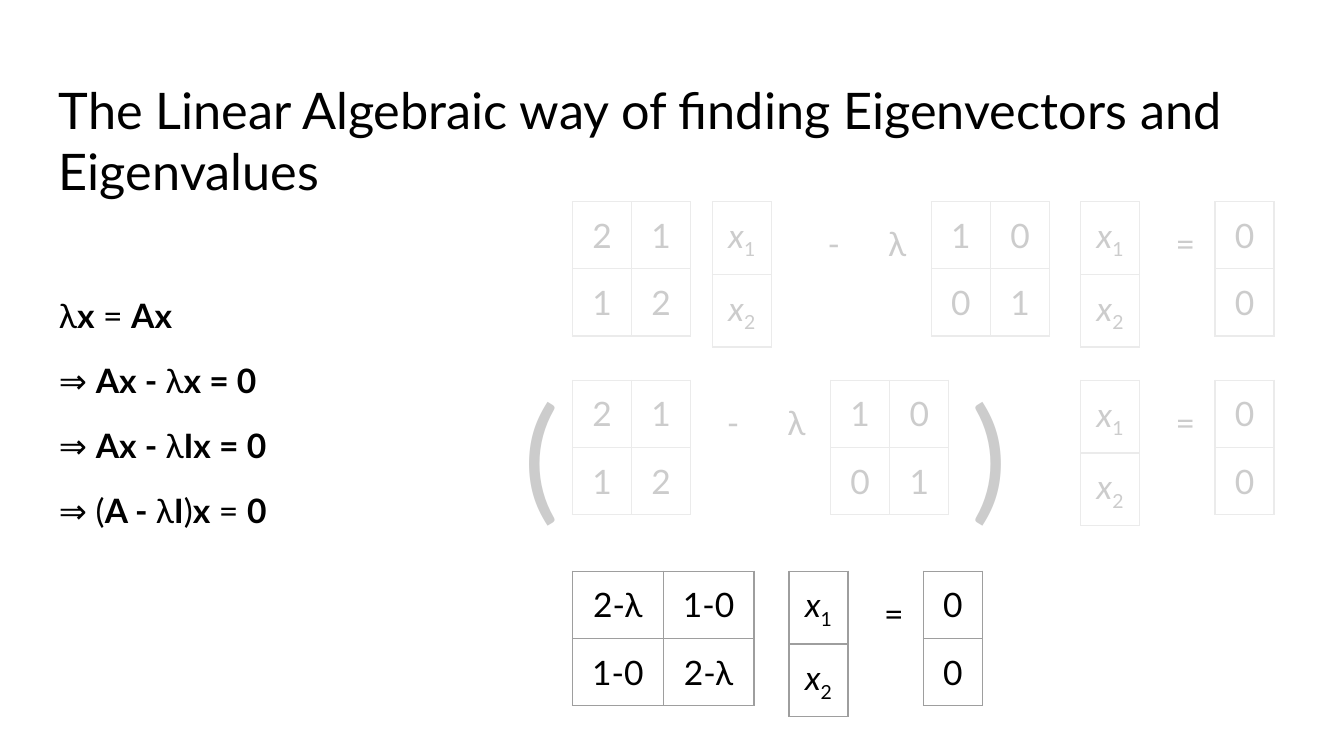
"""Build a slide deriving eigenvectors and eigenvalues with linear algebra."""
from typing import NamedTuple

from lxml import etree
from pptx import Presentation, util as u
from pptx.dml.color import RGBColor
from pptx.enum import shapes, text
from pptx.oxml import ns

COLORS = {"ink": "000000", "border": "9E9E9E", "veil": "FFFFFF"}
FONT = "Lato"
BODY_SIZE = 18
UNIT = u.Inches(0.1)
SLIDE_COLS, SLIDE_ROWS = 100, 56.25
INSET = 1
CELL_COLS, CELL_ROWS = 4.4, 5


class Run(NamedTuple):
    words: str
    bold: bool = False
    italic: bool = False
    subscript: bool = False


class Matrix(NamedTuple):
    col: float
    entries: list
    cell_cols: float = CELL_COLS


class Operator(NamedTuple):
    col: float
    symbol: str
    cols: float = 3.6


class Equation(NamedTuple):
    row: float
    terms: list


def grid(count: float) -> int:
    """Convert a count of grid units to a length."""
    return round(count * UNIT)


def plain(words: str) -> list[Run]:
    """Wrap words as a single unstyled run."""
    return [Run(words)]


def unknown(index: str) -> list[Run]:
    """Return an italic x with a subscript."""
    return [Run("x", italic=True), Run(index, subscript=True)]


def write(paragraph, runs: list[Run], size: float = BODY_SIZE) -> None:
    """Append runs to a paragraph."""
    for part in runs:
        run = paragraph.add_run()
        run.text = part.words
        run.font.name = FONT
        run.font.size = u.Pt(size)
        run.font.bold = part.bold
        run.font.italic = part.italic
        run.font.color.rgb = RGBColor.from_string(COLORS["ink"])
        if part.subscript:
            run.font._element.set("baseline", "-25000")


def add_words(slide, col: float, row: float, cols: float, rows: float,
              lines: list[list[Run]], size: float = BODY_SIZE,
              spacing: float = 1.15) -> None:
    """Place lines of runs in a wrapped text box."""
    frame = slide.shapes.add_textbox(*map(grid, (col, row, cols, rows))).text_frame
    frame.word_wrap = True
    frame.margin_left = frame.margin_right = grid(INSET)
    frame.margin_top = frame.margin_bottom = grid(INSET)
    for index, runs in enumerate(lines):
        paragraph = frame.add_paragraph() if index else frame.paragraphs[0]
        paragraph.line_spacing = spacing
        paragraph.space_before = u.Pt(10 if index else 0)
        write(paragraph, runs, size)


def add_borders(cell) -> None:
    """Outline all four sides of a cell."""
    properties = cell._tc.get_or_add_tcPr()
    for index, side in enumerate(("lnL", "lnR", "lnT", "lnB")):
        line = etree.Element(ns.qn(f"a:{side}"), w=str(u.Pt(0.75)))
        fill = etree.SubElement(line, ns.qn("a:solidFill"))
        etree.SubElement(fill, ns.qn("a:srgbClr"), val=COLORS["border"])
        properties.insert(index, line)


def add_matrix(slide, matrix: Matrix, row: float) -> None:
    """Draw a matrix as a bordered table."""
    height, width = len(matrix.entries), len(matrix.entries[0])
    table = slide.shapes.add_table(
        height, width, grid(matrix.col), grid(row),
        grid(width * matrix.cell_cols), grid(height * CELL_ROWS)).table
    table.first_row = table.horz_banding = False
    for column in table.columns:
        column.width = grid(matrix.cell_cols)
    for r, entries in enumerate(matrix.entries):
        table.rows[r].height = grid(CELL_ROWS)
        for c, runs in enumerate(entries):
            cell = table.cell(r, c)
            cell.fill.background()
            cell.margin_left = cell.margin_right = grid(INSET)
            cell.margin_top = cell.margin_bottom = grid(INSET)
            cell.vertical_anchor = text.MSO_ANCHOR.MIDDLE
            paragraph = cell.text_frame.paragraphs[0]
            paragraph.alignment = text.PP_ALIGN.CENTER
            write(paragraph, runs)
            add_borders(cell)


def add_equation(slide, equation: Equation) -> None:
    """Draw the terms of one equation along a row."""
    for term in equation.terms:
        if isinstance(term, Matrix):
            add_matrix(slide, term, equation.row)
        else:
            add_words(slide, term.col, equation.row + 0.15, term.cols,
                      CELL_ROWS, [plain(term.symbol)])


def add_veil(slide, col: float, row: float, cols: float, rows: float) -> None:
    """Fade the earlier steps behind a translucent panel."""
    veil = slide.shapes.add_shape(shapes.MSO_SHAPE.RECTANGLE,
                                  *map(grid, (col, row, cols, rows)))
    veil.shadow.inherit = False
    veil.line.fill.background()
    veil.fill.solid()
    veil.fill.fore_color.rgb = RGBColor.from_string(COLORS["veil"])
    color = veil._element.spPr.find(".//" + ns.qn("a:srgbClr"))
    etree.SubElement(color, ns.qn("a:alpha"), val="80000")


def square(rows: tuple[str, str]) -> list:
    """Split space-separated rows into matrix entries."""
    return [[plain(entry) for entry in row.split()] for row in rows]


A = square(("2 1", "1 2"))
IDENTITY = square(("1 0", "0 1"))
SHIFTED = square(("2-λ 1-0", "1-0 2-λ"))
ZERO = square(("0", "0"))
X = [[unknown("1")], [unknown("2")]]
LEFT = 42.6
RIGHT_SIDE = [Matrix(80.4, X), Operator(86.5, "="), Matrix(90.4, ZERO)]

EQUATIONS = [
    Equation(15, [Matrix(LEFT, A), Matrix(53, X), Operator(60.6, "-"),
                  Operator(65.1, "λ", 2.7), Matrix(69.3, IDENTITY), *RIGHT_SIDE]),
    Equation(28.3, [Matrix(LEFT, A), Operator(53.1, "-"), Operator(57.6, "λ", 2.7),
                    Matrix(61.8, IDENTITY), *RIGHT_SIDE]),
    Equation(42.5, [Matrix(LEFT, SHIFTED, 6.75), Matrix(58.7, X),
                    Operator(64.8, "="), Matrix(68.7, ZERO)]),
]
DERIVATION = [
    [Run("λ"), Run("x", True), Run(" = "), Run("Ax", True)],
    [Run("⇒ "), Run("Ax - ", True), Run("λ"), Run("x = 0", True)],
    [Run("⇒ "), Run("Ax - ", True), Run("λ"), Run("Ix = 0", True)],
    [Run("⇒ ("), Run("A - ", True), Run("λ"), Run("I", True), Run(")"),
     Run("x", True), Run(" = "), Run("0", True)],
]
TITLE = "The Linear Algebraic way of finding Eigenvectors and Eigenvalues"


def main() -> None:
    """Compose and save the slide."""
    deck = Presentation()
    deck.slide_width, deck.slide_height = grid(SLIDE_COLS), grid(SLIDE_ROWS)
    slide = deck.slides.add_slide(deck.slide_layouts[6])
    add_words(slide, 3.4, 4.9, 93.2, 6.3, [plain(TITLE)], size=27, spacing=1.0)
    add_words(slide, 3.4, 20.5, 32.8, 24.6, DERIVATION)
    for equation in EQUATIONS:
        add_equation(slide, equation)
    for col, bracket in ((38, "("), (71.3, ")")):
        add_words(slide, col, 24.9, 4.4, 14.1, [plain(bracket)], size=72)
    add_veil(slide, 38, 13.8, 57.8, 26)
    deck.save("out.pptx")


if __name__ == "__main__":
    main()
